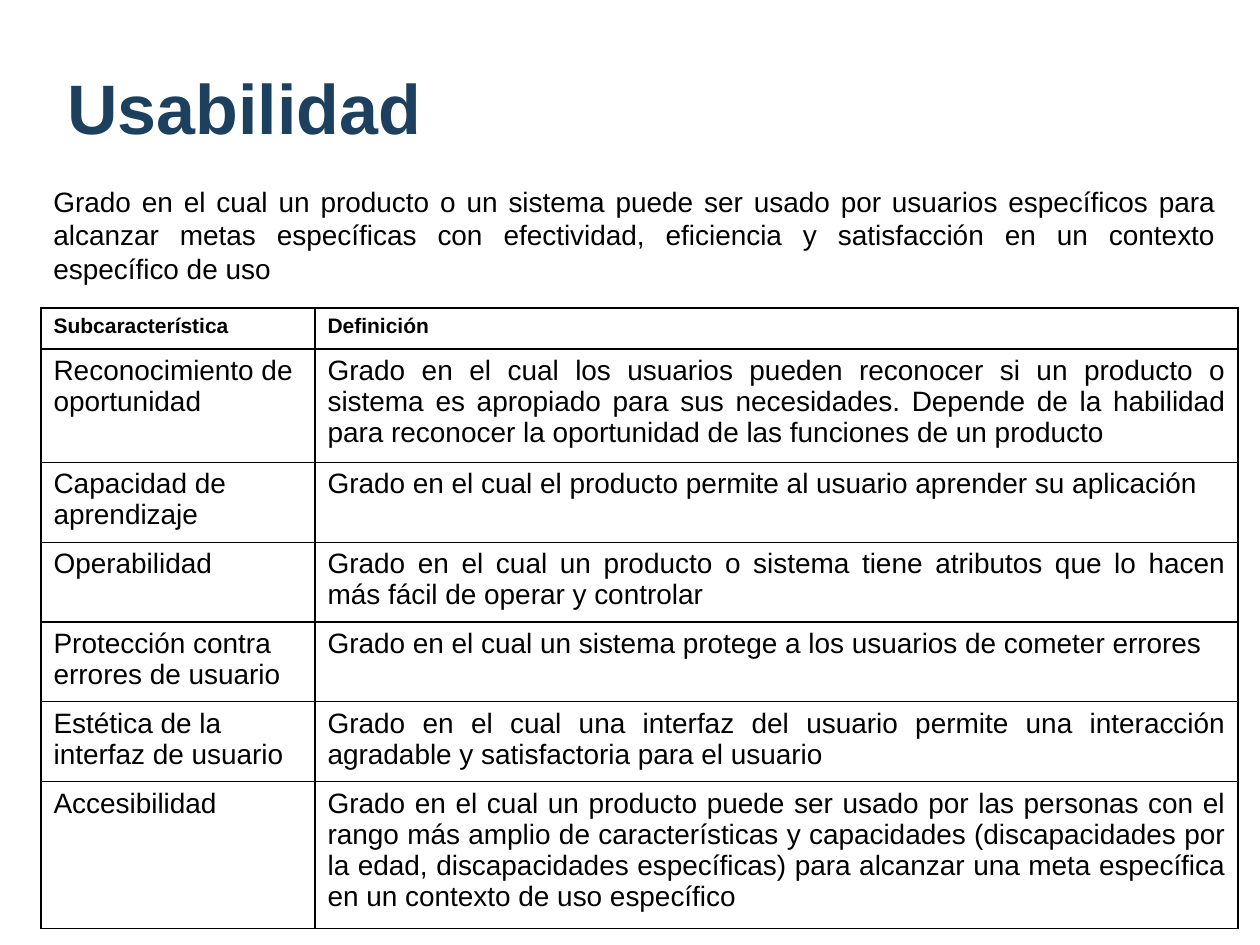
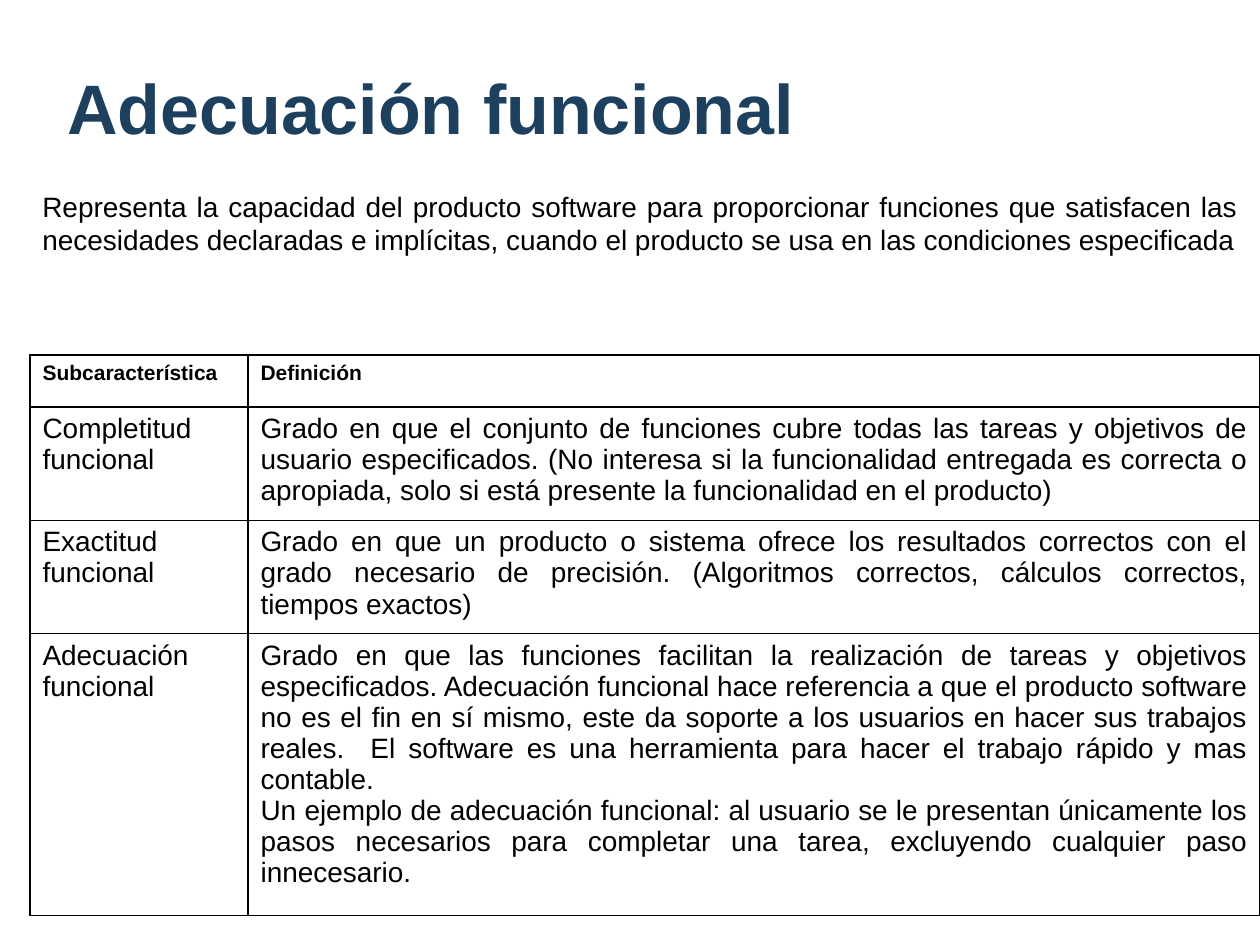
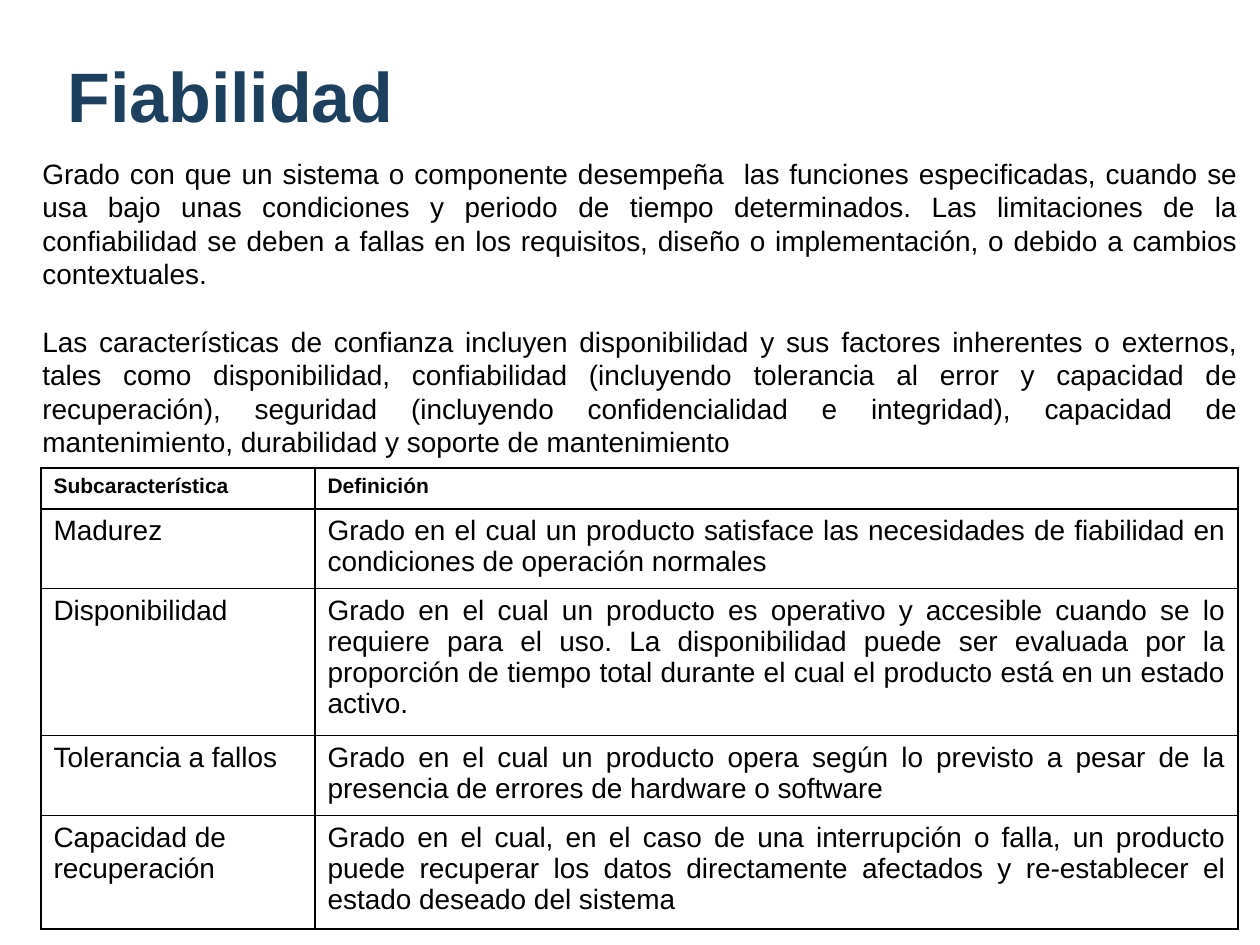
from dataclasses import dataclass

from lxml import etree
from pptx import Presentation
from pptx.dml.color import RGBColor
from pptx.enum.text import MSO_ANCHOR, MSO_AUTO_SIZE, PP_ALIGN
from pptx.oxml.ns import qn
from pptx.util import Emu, Pt

LEFT, JUSTIFY = PP_ALIGN.LEFT, PP_ALIGN.JUSTIFY
TOP, BOTTOM = MSO_ANCHOR.TOP, MSO_ANCHOR.BOTTOM
FIT_SHAPE = MSO_AUTO_SIZE.SHAPE_TO_FIT_TEXT
BLANK = 6
PX_PER_INCH = 126


@dataclass(frozen=True)
class Theme:
    font: str = "Arial"
    navy: str = "1C405D"
    black: str = "000000"
    title_size: int = 40
    header_size: int = 12
    body_size: int = 16
    intro_gap: float = 19.2
    border: float = 0.75


THEME = Theme()
HEADER = ("Subcaracterística", "Definición")


def px(n):
    return Emu(round(n * 914400 / PX_PER_INCH))


def add_run(p, text, size, color=THEME.black, bold=False):
    r = p.add_run()
    r.text = text
    r.font.name = THEME.font
    r.font.size = Pt(size)
    r.font.bold = bold
    r.font.color.rgb = RGBColor.from_string(color)


def paragraphs(tf, texts):
    """Yield one paragraph of the frame for each text, with the text."""
    for i, text in enumerate(texts):
        yield (tf.add_paragraph() if i else tf.paragraphs[0]), text


def add_box(s, left, top, width, height, anchor=TOP):
    tf = s.shapes.add_textbox(px(left), px(top), px(width), px(height)).text_frame
    tf.word_wrap = True
    tf.vertical_anchor = anchor
    return tf


def add_title(s, text, height):
    tf = add_box(s, 55, 26, 1134, height, BOTTOM)
    tf.margin_top = tf.margin_bottom = Pt(7.2)
    add_run(tf.paragraphs[0], text, THEME.title_size, THEME.navy, True)


def add_intro(s, box, texts):
    tf = add_box(s, *box)
    tf.auto_size = FIT_SHAPE
    for i, (p, text) in enumerate(paragraphs(tf, texts)):
        p.alignment = JUSTIFY
        if i:
            p.space_before = Pt(THEME.intro_gap)
        add_run(p, text, THEME.body_size)


def set_borders(cell):
    tc_pr = cell._tc.get_or_add_tcPr()
    for side in ("lnL", "lnR", "lnT", "lnB"):
        ln = etree.SubElement(tc_pr, qn(f"a:{side}"), w=str(Pt(THEME.border)))
        fill = etree.SubElement(ln, qn("a:solidFill"))
        etree.SubElement(fill, qn("a:srgbClr"), val=THEME.black)


def fill_cell(cell, text, size, bold, align):
    set_borders(cell)
    cell.fill.background()
    for p, line in paragraphs(cell.text_frame, text.split("\n")):
        p.alignment = align
        add_run(p, line, size, bold=bold)


def add_definitions(s, left, top, widths, heights, rows):
    table = s.shapes.add_table(len(heights), len(widths), px(left), px(top),
                               px(sum(widths)), px(sum(heights))).table
    table.first_row = table.horz_banding = False
    for column, width in zip(table.columns, widths):
        column.width = px(width)
    for row, height in zip(table.rows, heights):
        row.height = px(height)
    for i, texts in enumerate([HEADER, *rows]):
        for j, text in enumerate(texts):
            size = THEME.body_size if i else THEME.header_size
            fill_cell(table.cell(i, j), text, size, i == 0, JUSTIFY if i and j else LEFT)


SLIDES = [
    dict(
        title="Usabilidad", title_height=135, intro_box=(41, 178, 1187, 115),
        intro=["Grado en el cual un producto o un sistema puede ser usado por usuarios "
               "específicos para alcanzar metas específicas con efectividad, eficiencia y "
               "satisfacción en un contexto específico de uso"],
        table=dict(
            left=41, top=308, widths=(274, 923), heights=(41, 106, 75, 75, 75, 75, 137),
            rows=[
                ("Reconocimiento de oportunidad",
                 "Grado en el cual los usuarios pueden reconocer si un producto o sistema es "
                 "apropiado para sus necesidades. Depende de la habilidad para reconocer la "
                 "oportunidad de las funciones de un producto"),
                ("Capacidad de aprendizaje",
                 "Grado en el cual el producto permite al usuario aprender su aplicación"),
                ("Operabilidad",
                 "Grado en el cual un producto o sistema tiene atributos que lo hacen más "
                 "fácil de operar y controlar"),
                ("Protección contra errores de usuario",
                 "Grado en el cual un sistema protege a los usuarios de cometer errores"),
                ("Estética de la interfaz de usuario",
                 "Grado en el cual una interfaz del usuario permite una interacción agradable "
                 "y satisfactoria para el usuario"),
                ("Accesibilidad",
                 "Grado en el cual un producto puede ser usado por las personas con el rango "
                 "más amplio de características y capacidades (discapacidades por la edad, "
                 "discapacidades específicas) para alcanzar una meta específica en un "
                 "contexto de uso específico"),
            ]),
    ),
    dict(
        title="Adecuación funcional", title_height=135, intro_box=(30, 183, 1220, 115),
        intro=["Representa la capacidad del producto software para proporcionar funciones que "
               "satisfacen las necesidades declaradas e implícitas, cuando el producto se usa "
               "en las condiciones especificada"],
        table=dict(
            left=30, top=355, widths=(218, 1012), heights=(52, 113, 113, 282),
            rows=[
                ("Completitud funcional",
                 "Grado en que el conjunto de funciones cubre todas las tareas y objetivos de "
                 "usuario especificados. (No interesa si la funcionalidad entregada es "
                 "correcta o apropiada, solo si está presente la funcionalidad en el producto)"),
                ("Exactitud funcional",
                 "Grado en que un producto o sistema ofrece los resultados correctos con el "
                 "grado necesario de precisión. (Algoritmos correctos, cálculos correctos, "
                 "tiempos exactos)"),
                ("Adecuación funcional",
                 "Grado en que las funciones facilitan la realización de tareas y objetivos "
                 "especificados. Adecuación funcional hace referencia a que el producto "
                 "software no es el fin en sí mismo, este da soporte a los usuarios en hacer "
                 "sus trabajos reales.  El software es una herramienta para hacer el trabajo "
                 "rápido y mas contable. \n"
                 "Un ejemplo de adecuación funcional: al usuario se le presentan únicamente "
                 "los pasos necesarios para completar una tarea, excluyendo cualquier paso "
                 "innecesario."),
            ]),
    ),
    dict(
        title="Fiabilidad", title_height=123, intro_box=(30, 150, 1220, 318),
        intro=["Grado con que un sistema o componente desempeña  las funciones especificadas, "
               "cuando se usa bajo unas condiciones y periodo de tiempo determinados. Las "
               "limitaciones de la confiabilidad se deben a fallas en los requisitos, diseño o "
               "implementación, o debido a cambios contextuales.",
               "Las características de confianza incluyen disponibilidad y sus factores "
               "inherentes o externos, tales como disponibilidad, confiabilidad (incluyendo "
               "tolerancia al error y capacidad de recuperación), seguridad (incluyendo "
               "confidencialidad e integridad), capacidad de mantenimiento, durabilidad y "
               "soporte de mantenimiento"],
        table=dict(
            left=41, top=468, widths=(274, 923), heights=(41, 75, 137, 75, 106),
            rows=[
                ("Madurez",
                 "Grado en el cual un producto satisface las necesidades de fiabilidad en "
                 "condiciones de operación normales"),
                ("Disponibilidad",
                 "Grado en el cual un producto es operativo y accesible cuando se lo requiere "
                 "para el uso. La disponibilidad puede ser evaluada por la proporción de "
                 "tiempo total durante el cual el producto está en un estado activo."),
                ("Tolerancia a fallos",
                 "Grado en el cual un producto opera según lo previsto a pesar de la presencia "
                 "de errores de hardware o software"),
                ("Capacidad de recuperación",
                 "Grado en el cual, en el caso de una interrupción o falla, un producto puede "
                 "recuperar los datos directamente afectados y re-establecer el estado deseado "
                 "del sistema"),
            ]),
    ),
]


def main():
    prs = Presentation()
    prs.slide_width, prs.slide_height = px(1260), px(945)
    for content in SLIDES:
        s = prs.slides.add_slide(prs.slide_layouts[BLANK])
        add_title(s, content["title"], content["title_height"])
        add_definitions(s, **content["table"])
        add_intro(s, content["intro_box"], content["intro"])
    prs.save("out.pptx")


if __name__ == "__main__":
    main()
